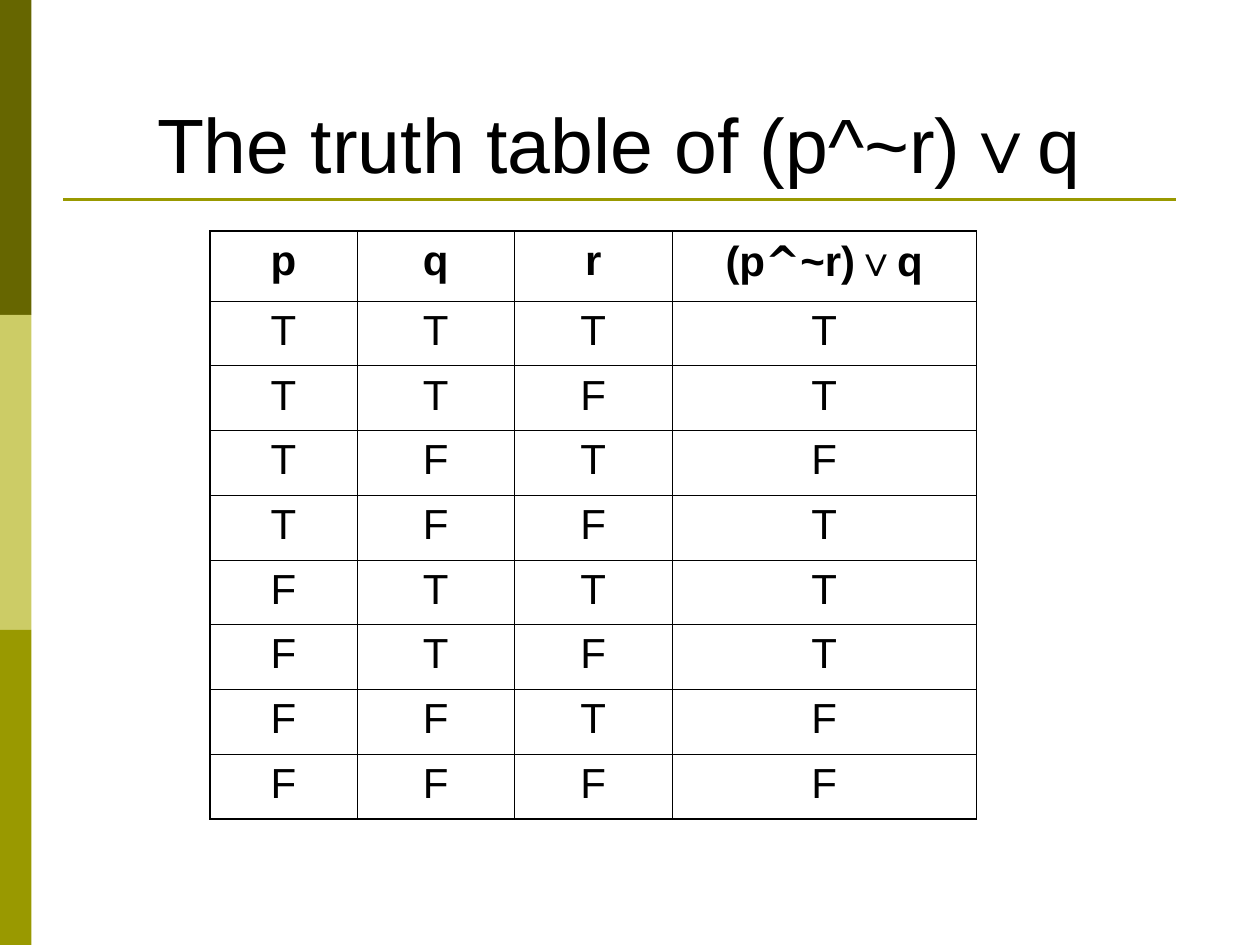
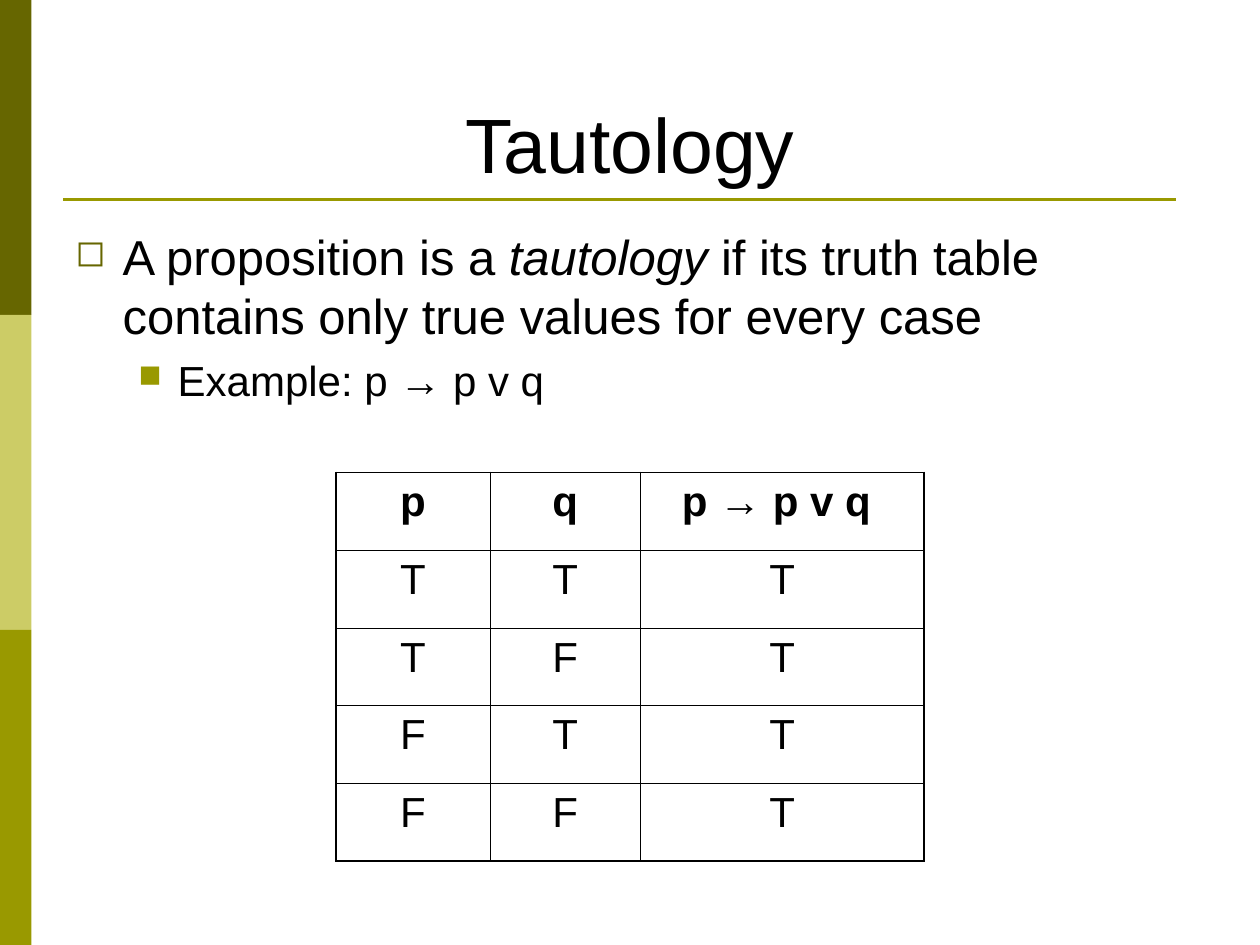
from collections.abc import Callable
from dataclasses import dataclass
from itertools import product

import pptx
import pptx.dml.color
import pptx.enum.shapes
import pptx.enum.text
import pptx.oxml.ns
import pptx.slide
import pptx.text.text
import pptx.util
from lxml import etree

Pt = pptx.util.Pt
RGBColor = pptx.dml.color.RGBColor
PP_ALIGN = pptx.enum.text.PP_ALIGN
qn = pptx.oxml.ns.qn

# Shared colours and fonts
DARK_OLIVE = RGBColor(0x66, 0x66, 0x00)
PALE_OLIVE = RGBColor(0xCC, 0xCC, 0x66)
OLIVE = RGBColor(0x99, 0x99, 0x00)
BLACK = RGBColor(0x00, 0x00, 0x00)
BODY_FONT = "Arial"
SYMBOL_FONT = "DejaVu Sans"

# Shared measures
SLIDE_WIDTH, SLIDE_HEIGHT = Pt(720), Pt(540)
BAND_WIDTH, BAND_HEIGHT = Pt(18), Pt(180)
RULE_LEFT, RULE_RIGHT, RULE_TOP = Pt(36), Pt(672), Pt(114)
TITLE_TOP, TITLE_HEIGHT = Pt(21.6), Pt(90)
OUTER_BORDER, INNER_BORDER = Pt(1.08), Pt(0.45)
FRAME_FORMAT = {
    "word_wrap": True,
    "margin_left": Pt(7.2),
    "margin_right": Pt(7.2),
    "margin_top": Pt(3.6),
    "margin_bottom": Pt(3.6),
}


@dataclass
class Piece:
    """A stretch of text with its own face."""
    text: str
    font: str = BODY_FONT
    italic: bool = False


@dataclass
class BulletPoint:
    pieces: list[Piece]
    size: pptx.util.Length
    mark: str
    mark_color: RGBColor
    margin: pptx.util.Length
    hang: pptx.util.Length
    level: int = 0
    space_before: pptx.util.Length | None = None


@dataclass
class TruthTable:
    variables: str
    formula: list[Piece]
    evaluate: Callable[..., bool]
    left: pptx.util.Length
    top: pptx.util.Length
    column_widths: list[pptx.util.Length]
    header_height: pptx.util.Length
    row_height: pptx.util.Length


def write_pieces(paragraph: pptx.text.text._Paragraph, pieces: list[Piece],
                 size: pptx.util.Length, bold: bool = False) -> None:
    for piece in pieces:
        run = paragraph.add_run()
        run.text = piece.text
        face = {"name": piece.font, "size": size, "bold": bold, "italic": piece.italic}
        for attribute, value in face.items():
            setattr(run.font, attribute, value)
        run.font.color.rgb = BLACK


def add_text_frame(slide: pptx.slide.Slide, left: pptx.util.Length, top: pptx.util.Length,
                   width: pptx.util.Length, height: pptx.util.Length,
                   anchor: pptx.enum.text.MSO_ANCHOR) -> pptx.text.text.TextFrame:
    frame = slide.shapes.add_textbox(left, top, width, height).text_frame
    for attribute, value in {**FRAME_FORMAT, "vertical_anchor": anchor}.items():
        setattr(frame, attribute, value)
    return frame


def start_slide(deck: pptx.presentation.Presentation, title: str,
                title_left: pptx.util.Length, title_width: pptx.util.Length) -> pptx.slide.Slide:
    """Add a slide with the side bands, the rule and the title."""
    slide = deck.slides.add_slide(deck.slide_layouts[6])
    for position, color in enumerate((DARK_OLIVE, PALE_OLIVE, OLIVE)):
        band = slide.shapes.add_shape(pptx.enum.shapes.MSO_SHAPE.RECTANGLE,
                                      0, position * BAND_HEIGHT, BAND_WIDTH, BAND_HEIGHT)
        band.shadow.inherit = False
        band.fill.solid()
        band.fill.fore_color.rgb = color
        band.line.fill.background()

    rule = slide.shapes.add_connector(pptx.enum.shapes.MSO_CONNECTOR.STRAIGHT,
                                      RULE_LEFT, RULE_TOP, RULE_RIGHT, RULE_TOP)
    rule.line.color.rgb = OLIVE
    rule.line.width = Pt(1.5)
    etree.SubElement(rule._element.spPr, qn("a:effectLst"))

    frame = add_text_frame(slide, title_left, TITLE_TOP, title_width, TITLE_HEIGHT,
                           pptx.enum.text.MSO_ANCHOR.BOTTOM)
    frame.paragraphs[0].alignment = PP_ALIGN.CENTER
    write_pieces(frame.paragraphs[0], [Piece(title)], Pt(44))
    return slide


def add_bullet_points(slide: pptx.slide.Slide, points: list[BulletPoint]) -> None:
    frame = add_text_frame(slide, Pt(36), Pt(126), Pt(648), Pt(356.4),
                           pptx.enum.text.MSO_ANCHOR.TOP)
    for index, point in enumerate(points):
        paragraph = frame.add_paragraph() if index else frame.paragraphs[0]
        properties = paragraph._p.get_or_add_pPr()
        properties.set("marL", str(point.margin))
        properties.set("indent", str(-point.hang))
        mark_color = etree.SubElement(properties, qn("a:buClr"))
        etree.SubElement(mark_color, qn("a:srgbClr"), val=str(point.mark_color))
        etree.SubElement(properties, qn("a:buSzPct"), val="75000")
        etree.SubElement(properties, qn("a:buChar"), char=point.mark)
        paragraph.level = point.level
        paragraph.space_before = point.space_before
        write_pieces(paragraph, point.pieces, point.size)


def set_borders(cell: pptx.table._Cell, widths: dict[str, pptx.util.Length]) -> None:
    properties = cell._tc.get_or_add_tcPr()
    for position, (side, width) in enumerate(widths.items()):
        border = etree.Element(qn(f"a:{side}"), w=str(width))
        fill = etree.SubElement(border, qn("a:solidFill"))
        etree.SubElement(fill, qn("a:srgbClr"), val=str(BLACK))
        properties.insert(position, border)


def add_truth_table(slide: pptx.slide.Slide, truth: TruthTable) -> None:
    # Every combination of truth values, with the value of the formula last
    cases = product((True, False), repeat=len(truth.variables))
    rows = [[[Piece(variable)] for variable in truth.variables] + [truth.formula]]
    rows += [[[Piece("T" if value else "F")] for value in (*case, truth.evaluate(*case))]
             for case in cases]
    last_row, last_column = len(rows) - 1, len(truth.variables)

    grid = slide.shapes.add_table(
        len(rows), last_column + 1, truth.left, truth.top, sum(truth.column_widths),
        truth.header_height + last_row * truth.row_height).table
    grid.first_row = grid.horz_banding = False
    for column, width in zip(grid.columns, truth.column_widths):
        column.width = width

    for r, row in enumerate(rows):
        grid.rows[r].height = truth.row_height if r else truth.header_height
        for c, pieces in enumerate(row):
            cell = grid.cell(r, c)
            cell.fill.background()
            on_edge = {"lnL": c == 0, "lnR": c == last_column,
                       "lnT": r == 0, "lnB": r == last_row}
            set_borders(cell, {side: OUTER_BORDER if outer else INNER_BORDER
                               for side, outer in on_edge.items()})
            paragraph = cell.text_frame.paragraphs[0]
            paragraph.alignment = PP_ALIGN.CENTER
            write_pieces(paragraph, pieces, Pt(24), bold=r == 0)


def main() -> None:
    deck = pptx.Presentation()
    deck.slide_width, deck.slide_height = SLIDE_WIDTH, SLIDE_HEIGHT

    # Truth table of three variables
    compound = start_slide(deck, "The truth table of (p^~r)∨q", Pt(24), Pt(660))
    add_truth_table(compound, TruthTable(
        variables="pqr",
        formula=[Piece("(p"), Piece("^", SYMBOL_FONT), Piece("~r)∨q")],
        evaluate=lambda p, q, r: (p and not r) or q,
        left=Pt(120), top=Pt(132),
        column_widths=[Pt(84), Pt(90), Pt(90), Pt(174)],
        header_height=Pt(40), row_height=Pt(37)))

    # Tautology: definition and example
    tautology = start_slide(deck, "Tautology", Pt(36), Pt(648))
    add_bullet_points(tautology, [
        BulletPoint([Piece("A proposition is a "), Piece("tautology", italic=True),
                     Piece(" if its truth table contains only true values for every case")],
                    Pt(28), "◻", DARK_OLIVE, margin=Pt(27), hang=Pt(27)),
        BulletPoint([Piece("Example: p → p v q")], Pt(24), "■", OLIVE,
                    margin=Pt(58.5), hang=Pt(22.5), level=1, space_before=Pt(6)),
    ])
    add_truth_table(tautology, TruthTable(
        variables="pq",
        formula=[Piece("p → p v q ")],
        evaluate=lambda p, q: not p or (p or q),
        left=Pt(192), top=Pt(270),
        column_widths=[Pt(88), Pt(86), Pt(162)],
        header_height=Pt(44.4), row_height=Pt(44.4)))

    deck.save("out.pptx")


if __name__ == "__main__":
    main()
